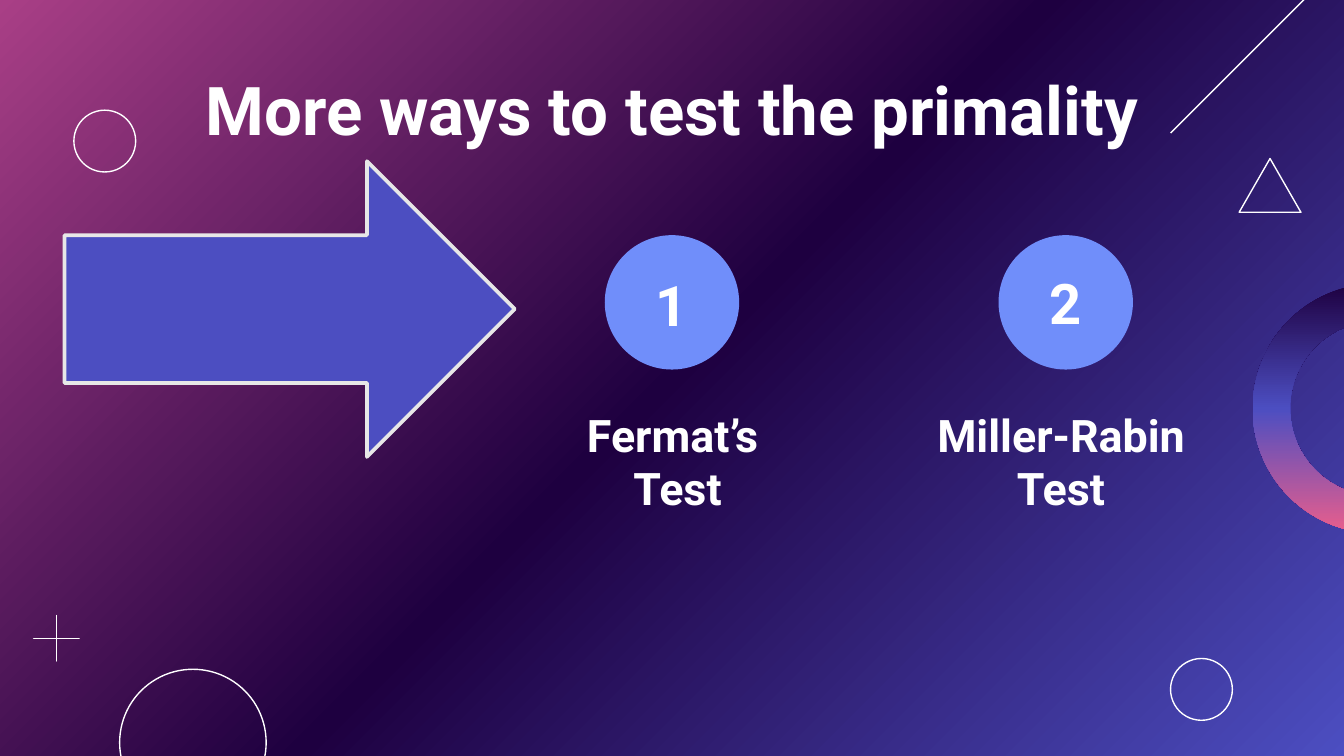
from copy import deepcopy

from pptx import Presentation
from pptx.dml.color import RGBColor
from pptx.enum.shapes import MSO_CONNECTOR, MSO_SHAPE
from pptx.enum.text import MSO_ANCHOR, MSO_AUTO_SIZE, PP_ALIGN
from pptx.oxml.ns import qn
from pptx.util import Inches, Pt

OVAL, TRIANGLE, PLUS = MSO_SHAPE.OVAL, MSO_SHAPE.ISOSCELES_TRIANGLE, MSO_SHAPE.MATH_PLUS
ARROW, ARC = MSO_SHAPE.RIGHT_ARROW, MSO_SHAPE.BLOCK_ARC
STRAIGHT = MSO_CONNECTOR.STRAIGHT
CENTER, MIDDLE, NO_FIT = PP_ALIGN.CENTER, MSO_ANCHOR.MIDDLE, MSO_AUTO_SIZE.NONE

COLORS = {
    "white": "FFFFFF", "indigo": "4C4EC1", "night": "1E0040",
    "plum": "A93F86", "pink": "EA5E8C", "badge": "708EFA", "edge": "E7E7E7",
}
FONT = "Roboto"
TITLE = "More ways to test the primality"
TESTS = [
    {"number": "1", "lines": ["Fermat’s", " Test"], "ph": 1,
     "badge": 4.5, "number_top": 1.98, "caption": 3.68},
    {"number": "2", "lines": ["Miller-Rabin Test"], "ph": 3,
     "badge": 7.43, "number_top": 1.96, "caption": 6.57},
]
OUTLINES = [
    (TRIANGLE, (9.22, 1.18, 0.46, 0.4)),
    (OVAL, (0.89, 4.98, 1.09, 1.09)),
    (PLUS, (0.19, 4.52, 0.46, 0.46)),
    (OVAL, (0.55, 0.82, 0.46, 0.46)),
    (OVAL, (8.71, 4.9, 0.46, 0.46)),
]
DIAGONAL = (8.71, 0.99, 10.39, -0.69)
RING = (9.32, 2.11, 1.86, 1.86)
RING_ADJ = (21.86, 184.34, 0.15)
ARROW_BOX = (0.48, 1.2, 3.35, 2.2)


def rgb(name):
    return RGBColor.from_string(COLORS[name])


def set_gradient(fill, element, names, angle):
    fill.gradient()
    fill.gradient_angle = angle
    stops = next(element.iter(qn("a:gsLst")))
    stops.insert(1, deepcopy(stops[0]))
    for i, (stop, name) in enumerate(zip(fill.gradient_stops, names)):
        stop.color.rgb = rgb(name)
        stop.position = i / 2


def set_line(line, color, width):
    line.color.rgb = rgb(color)
    line.width = Pt(width)


def add_shape(slide, kind, box, fill=None, line=None, width=0.75):
    sp = slide.shapes.add_shape(kind, *map(Inches, box))
    sp.shadow.inherit = False
    if fill:
        sp.fill.solid()
        sp.fill.fore_color.rgb = rgb(fill)
    else:
        sp.fill.background()
    if line:
        set_line(sp.line, line, width)
    else:
        sp.line.fill.background()
    return sp


def set_text(sp, box, lines, size):
    sp.left, sp.top, sp.width, sp.height = map(Inches, box)
    tf = sp.text_frame
    frame = {"word_wrap": True, "auto_size": NO_FIT, "vertical_anchor": MIDDLE}
    frame.update({f"margin_{side}": Inches(0.1) for side in ("left", "top", "right", "bottom")})
    for key, value in frame.items():
        setattr(tf, key, value)
    tf.text = "\n".join(lines)
    for p in tf.paragraphs:
        p.alignment, p.space_before, p.line_spacing = CENTER, Pt(0), 1.0
        for key, value in {"name": FONT, "size": Pt(size), "bold": True}.items():
            setattr(p.runs[0].font, key, value)
        p.runs[0].font.color.rgb = rgb("white")


prs = Presentation()
prs.slide_width, prs.slide_height = Inches(10), Inches(10 * 9 / 16)
slide = prs.slides.add_slide(prs.slide_layouts.get_by_name("Comparison"))
set_gradient(slide.background.fill, slide._element, ("indigo", "night", "plum"), 135)

ring = add_shape(slide, ARC, RING)
for i, value in enumerate(RING_ADJ):
    ring.adjustments[i] = value
set_gradient(ring.fill, ring._element, ("night", "indigo", "pink"), 270)

for kind, box in OUTLINES:
    sp = add_shape(slide, kind, box, line="white")
    if kind == PLUS:
        sp.adjustments[0] = 0

diagonal = slide.shapes.add_connector(STRAIGHT, *map(Inches, DIAGONAL))
set_line(diagonal.line, "white", 0.75)
sp_pr = diagonal._element.spPr
sp_pr.append(sp_pr.makeelement(qn("a:effectLst"), {}))

set_text(slide.shapes.title, (0.78, 0.51, 8.44, 0.59), [TITLE], 36)
holders = {ph.placeholder_format.idx: ph for ph in slide.placeholders}
for test in TESTS:
    add_shape(slide, OVAL, (test["badge"], 1.75, 1, 1), fill="badge")
    number = slide.shapes.add_textbox(0, 0, 0, 0)
    set_text(number, (test["badge"] + 0.1, test["number_top"], 0.79, 0.57), [test["number"]], 30)
    set_text(holders.pop(test["ph"]), (test["caption"], 2.93, 2.65, 1), test["lines"], 24)
for idx, ph in holders.items():
    if idx:
        ph._element.getparent().remove(ph._element)

add_shape(slide, ARROW, ARROW_BOX, fill="indigo", line="edge", width=2)

prs.save("out.pptx")
